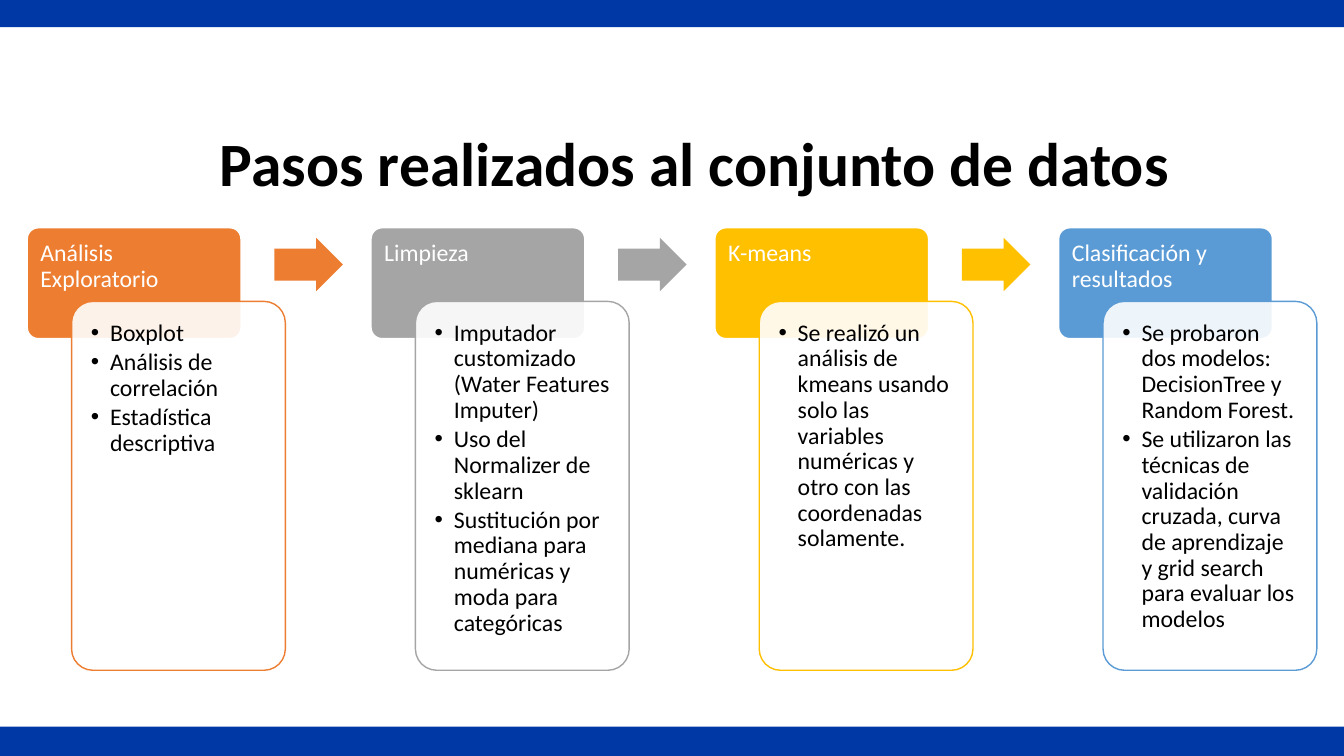
from lxml import etree
from pptx import Presentation
from pptx.dml.color import RGBColor
from pptx.enum.shapes import MSO_SHAPE
from pptx.enum.text import MSO_ANCHOR, PP_ALIGN
from pptx.oxml.ns import qn
from pptx.util import Inches, Pt

RECTANGLE = MSO_SHAPE.RECTANGLE
ROUNDED = MSO_SHAPE.ROUNDED_RECTANGLE
RIGHT_ARROW = MSO_SHAPE.RIGHT_ARROW
TOP = MSO_ANCHOR.TOP
LEFT, CENTER = PP_ALIGN.LEFT, PP_ALIGN.CENTER

BLUE_BAND = RGBColor(0x00, 0x38, 0xA5)
ORANGE = RGBColor(0xED, 0x7D, 0x31)
GRAY = RGBColor(0xA5, 0xA5, 0xA5)
GOLD = RGBColor(0xFF, 0xC0, 0x00)
SKY = RGBColor(0x5B, 0x9B, 0xD5)
WHITE = RGBColor(0xFF, 0xFF, 0xFF)
BLACK = RGBColor(0x00, 0x00, 0x00)
FONT = "Calibri"

TITLE = "Pasos realizados al conjunto de datos"
STEPS = [
    ("Análisis Exploratorio", ORANGE, [
        "Boxplot",
        "Análisis de correlación",
        "Estadística descriptiva",
    ]),
    ("Limpieza", GRAY, [
        "Imputador customizado (Water Features Imputer)",
        "Uso del Normalizer de sklearn",
        "Sustitución por mediana para numéricas y moda para categóricas",
    ]),
    ("K-means", GOLD, [
        "Se realizó un análisis de kmeans usando solo las variables numéricas "
        "y otro con las coordenadas solamente.",
    ]),
    ("Clasificación y resultados", SKY, [
        "Se probaron dos modelos: DecisionTree y Random Forest.",
        "Se utilizaron las técnicas de validación cruzada, curva de aprendizaje "
        "y grid search para evaluar los modelos",
    ]),
]
BAND_TOPS = (-0.03, 7.21)
FIRST_LEFT, STEP_PITCH, STEP_WIDTH = 0.27, 3.41, 2.12
HEADER_TOP, HEADER_HEIGHT = 2.26, 1.1
CARD_SHIFT, CARD_TOP, CARD_HEIGHT = 0.44, 2.99, 3.66
ARROW_SHIFT, ARROW_TOP, ARROW_WIDTH, ARROW_HEIGHT = 2.45, 2.36, 0.68, 0.53


def add_block(page, kind, left, top, width, height, fill, line=None):
    block = page.shapes.add_shape(
        kind, Inches(left), Inches(top), Inches(width), Inches(height))
    block.shadow.inherit = False
    block.fill.solid()
    block.fill.fore_color.rgb = fill
    if line is None:
        block.line.fill.background()
    else:
        block.line.color.rgb = line
        block.line.width = Pt(1)
    return block


def set_insets(frame, side, top, bottom):
    frame.word_wrap = True
    frame.vertical_anchor = TOP
    frame.margin_left = frame.margin_right = Inches(side)
    frame.margin_top, frame.margin_bottom = Inches(top), Inches(bottom)


def add_span(para, text, size, color, bold=False):
    span = para.add_run()
    span.text = text
    span.font.name = FONT
    span.font.size = Pt(size)
    span.font.color.rgb = color
    span.font.bold = bold


def add_bullet(para):
    properties = para._p.get_or_add_pPr()
    properties.set("marL", str(Inches(0.19)))
    properties.set("indent", str(-Inches(0.19)))
    etree.SubElement(properties, qn("a:buFont")).set("typeface", "Arial")
    etree.SubElement(properties, qn("a:buChar")).set("char", "•")


def write_lines(frame, lines, color, space_after, bulleted):
    for index, text in enumerate(lines):
        para = frame.add_paragraph() if index else frame.paragraphs[0]
        para.alignment = LEFT
        para.line_spacing = 0.9
        para.space_after = Pt(space_after)
        if bulleted:
            add_bullet(para)
        add_span(para, text, 17, color)


def add_step(page, left, name, color, points):
    header = add_block(page, ROUNDED, left, HEADER_TOP, STEP_WIDTH,
                       HEADER_HEIGHT, color, WHITE)
    header.adjustments[0] = 0.1
    set_insets(header.text_frame, 0.1, 0.1, 0.07)
    write_lines(header.text_frame, [name], WHITE, 6, False)

    card = add_block(page, ROUNDED, left + CARD_SHIFT, CARD_TOP, STEP_WIDTH,
                     CARD_HEIGHT, WHITE, color)
    card.adjustments[0] = 0.1
    fill_color = card._element.spPr.find(qn("a:solidFill"))[0]
    etree.SubElement(fill_color, qn("a:alpha")).set("val", "90000")
    set_insets(card.text_frame, 0.13, 0.13, 0.13)
    write_lines(card.text_frame, points, BLACK, 2.5, True)


def main():
    deck = Presentation()
    deck.slide_width, deck.slide_height = Inches(13.33), Inches(7.5)
    page = deck.slides.add_slide(deck.slide_layouts[6])

    for top in BAND_TOPS:
        add_block(page, RECTANGLE, -0.03, top, 13.4, 0.3, BLUE_BAND)

    for index, (name, color, points) in enumerate(STEPS):
        left = FIRST_LEFT + index * STEP_PITCH
        add_step(page, left, name, color, points)
        if index < len(STEPS) - 1:
            arrow = add_block(page, RIGHT_ARROW, left + ARROW_SHIFT, ARROW_TOP,
                              ARROW_WIDTH, ARROW_HEIGHT, color)
            arrow.adjustments[0] = 0.6
            arrow.adjustments[1] = 0.5

    box = page.shapes.add_textbox(
        Inches(1.78), Inches(1.19), Inches(10.23), Inches(0.84))
    set_insets(box.text_frame, 0.1, 0.05, 0.05)
    para = box.text_frame.paragraphs[0]
    para.alignment = CENTER
    add_span(para, TITLE, 44, BLACK, True)

    deck.save("out.pptx")


if __name__ == "__main__":
    main()
